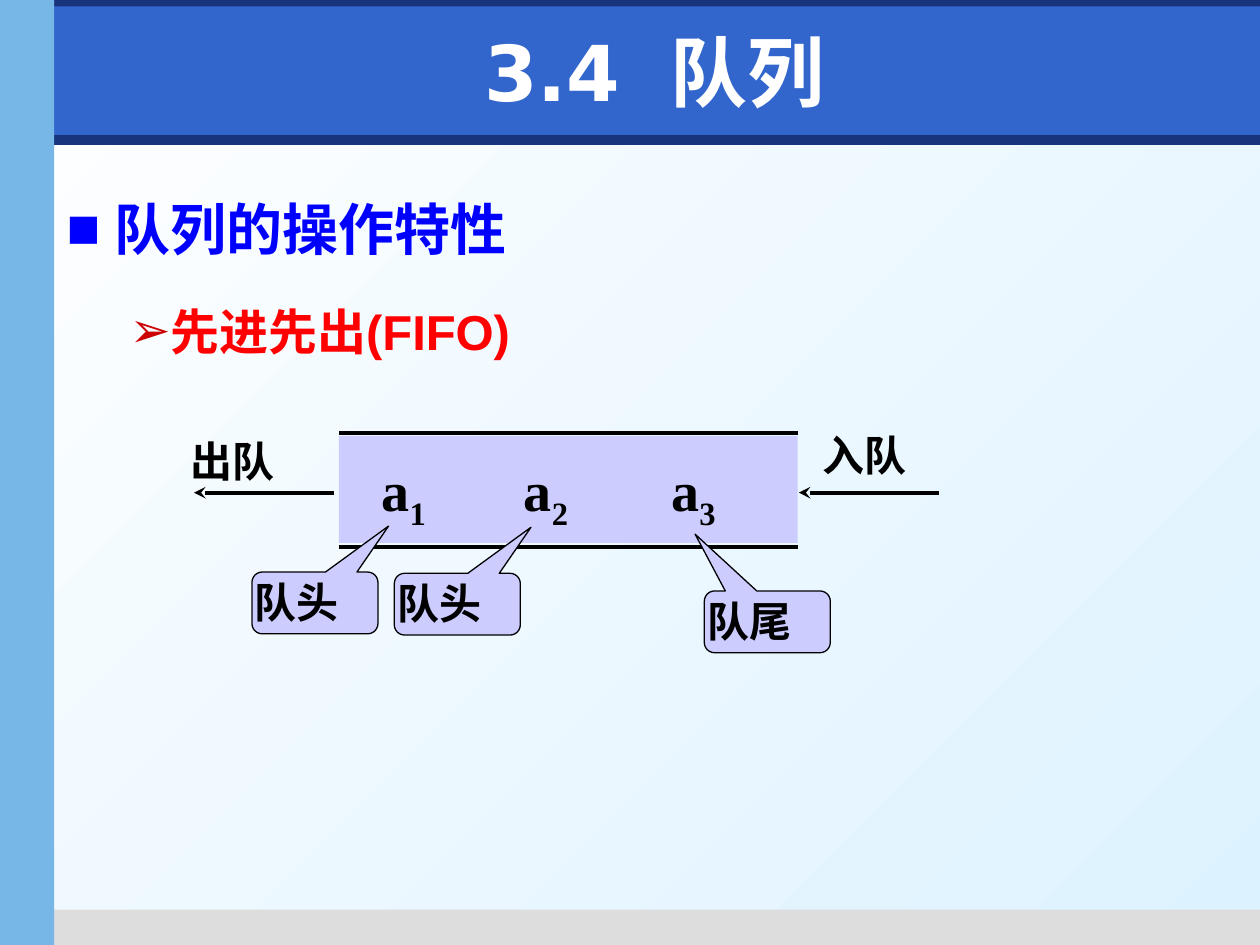
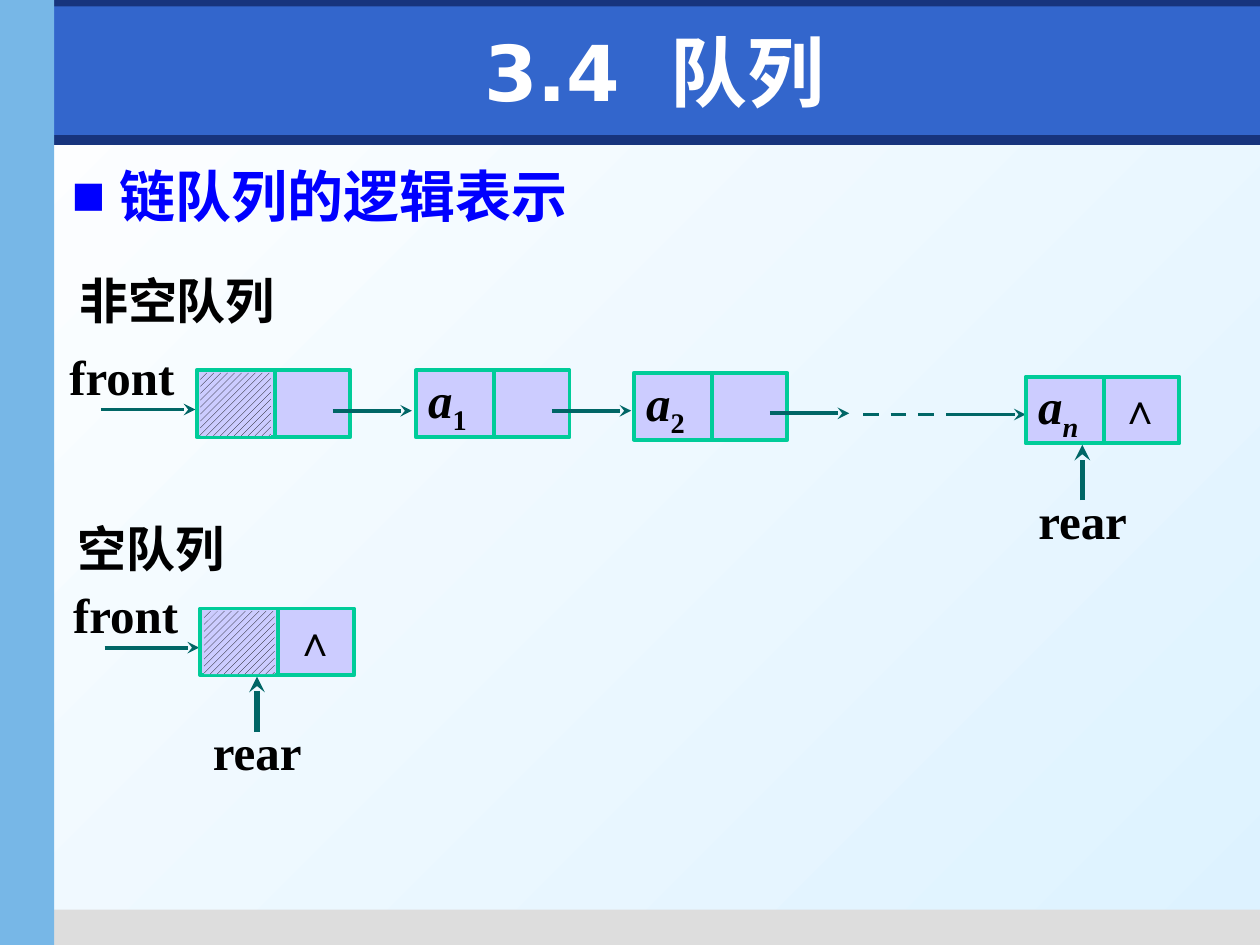
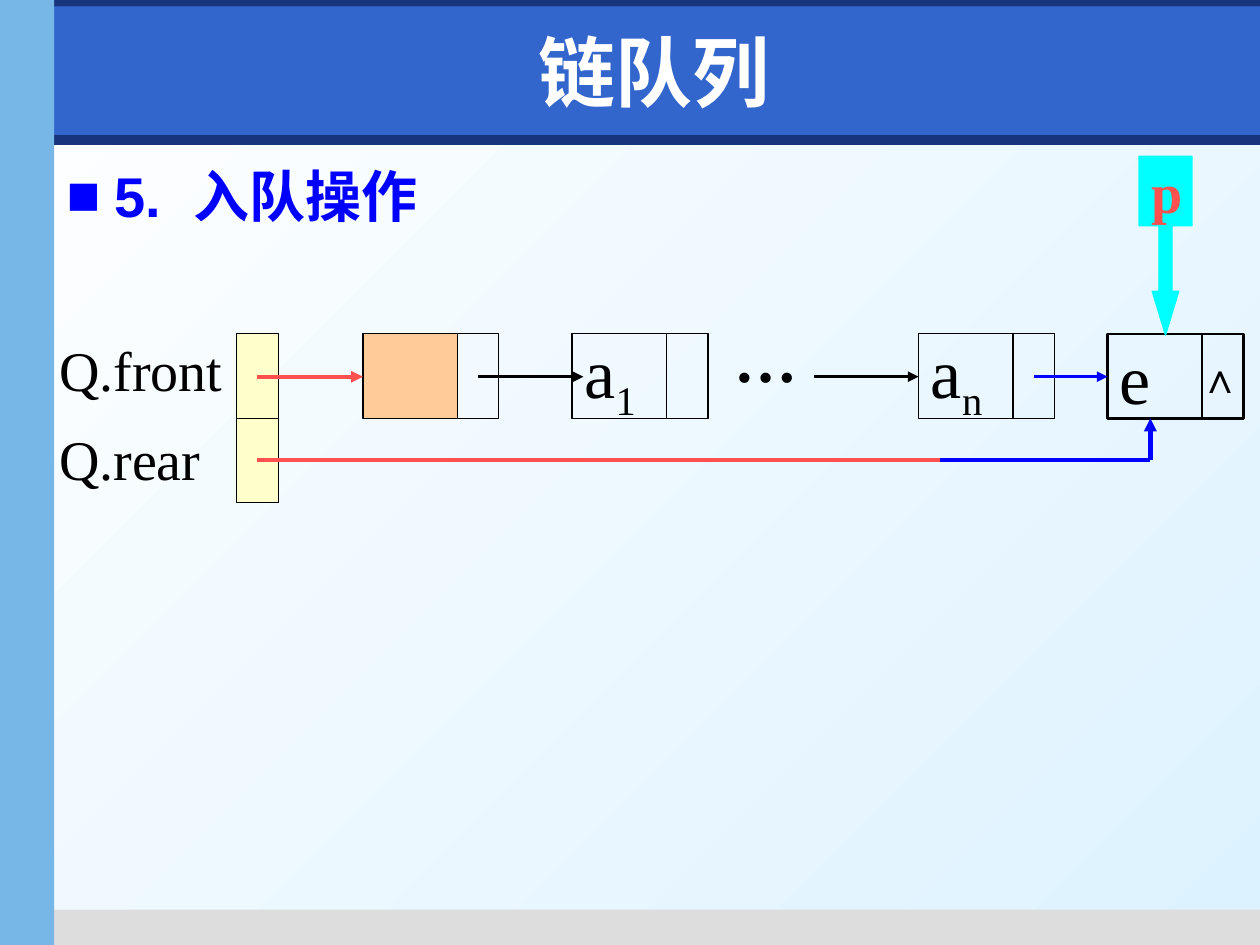
from lxml.etree import SubElement
from pptx import Presentation
from pptx.dml.color import RGBColor
from pptx.enum.dml import MSO_LINE, MSO_PATTERN
from pptx.enum.shapes import MSO_CONNECTOR, MSO_SHAPE
from pptx.enum.text import MSO_ANCHOR, PP_ALIGN
from pptx.oxml.ns import qn
from pptx.util import Inches, Pt

BLACK = "000000"
BLUE = "0000FF"
RED = "FF0000"
CORAL = "FF5050"
CYAN = "00FFFF"
LAVENDER = "CCCCFF"
GREEN = "00CC99"
TEAL = "006666"
YELLOW = "FFFFCC"
SERIF = "Times New Roman"
DEFAULT_INSETS = (0.1, 0.05, 0.1, 0.05)


def rgb(color):
    return RGBColor.from_string(color)


def add_run(paragraph, text, size=24, color=BLACK, font=SERIF, bold=True, italic=False, **attributes):
    """Add a run; extra attributes, such as baseline or spc, go on its properties."""
    run = paragraph.add_run()
    run.text = text
    run.font.size = Pt(size)
    run.font.name = font
    run.font.bold = bold
    run.font.italic = italic
    run.font.color.rgb = rgb(color)
    for name, value in attributes.items():
        run.font._element.set(name, str(value))


def add_spaced_runs(paragraph, text, **text_format):
    """Write a heading whose number is set off by a wide space."""
    for piece in text.partition(" "):
        if piece == " ":
            add_run(paragraph, piece, spc=text_format["size"] * 30, **text_format)
        elif piece:
            add_run(paragraph, piece, **text_format)


def prepare_frame(shape, insets=DEFAULT_INSETS, anchor=MSO_ANCHOR.TOP):
    frame = shape.text_frame
    frame.word_wrap = True
    frame.vertical_anchor = anchor
    frame.margin_left, frame.margin_top, frame.margin_right, frame.margin_bottom = map(Inches, insets)
    return frame


def write(shape, text, subscript="", subscript_italic=False, insets=DEFAULT_INSETS,
          anchor=MSO_ANCHOR.TOP, line_spacing=1.0, **text_format):
    paragraph = prepare_frame(shape, insets, anchor).paragraphs[0]
    paragraph.alignment = PP_ALIGN.LEFT
    paragraph.line_spacing = line_spacing
    add_run(paragraph, text, **text_format)
    if subscript:
        text_format["italic"] = subscript_italic
        add_run(paragraph, subscript, baseline=-25000, **text_format)


def add_label(slide, left, top, width, height, text, **text_format):
    box = slide.shapes.add_textbox(*map(Inches, (left, top, width, height)))
    write(box, text, **text_format)


def add_box(slide, left, top, width, height, fill=None, line=None, weight=0.75, kind=MSO_SHAPE.RECTANGLE):
    shape = slide.shapes.add_shape(kind, *map(Inches, (left, top, width, height)))
    shape.shadow.inherit = False
    if fill:
        shape.fill.solid()
        shape.fill.fore_color.rgb = rgb(fill)
    else:
        shape.fill.background()
    if line:
        shape.line.color.rgb = rgb(line)
        shape.line.width = Pt(weight)
    else:
        shape.line.fill.background()
    return shape


def add_line(slide, start, end, color=BLACK, weight=2.25, arrow=None, dash=None):
    connector = slide.shapes.add_connector(MSO_CONNECTOR.STRAIGHT, *map(Inches, start + end))
    connector.line.color.rgb = rgb(color)
    connector.line.width = Pt(weight)
    if dash:
        connector.line.dash_style = dash
    if arrow:
        SubElement(connector.line._get_or_add_ln(), qn("a:tailEnd"), type=arrow)
    SubElement(connector._element.spPr, qn("a:effectLst"))


def add_bullet(paragraph, character, color, margin, hanging):
    properties = paragraph._p.get_or_add_pPr()
    properties.set("marL", str(Inches(margin)))
    properties.set("indent", str(-Inches(hanging)))
    bullet_color = SubElement(properties, qn("a:buClr"))
    SubElement(bullet_color, qn("a:srgbClr"), val=color)
    SubElement(properties, qn("a:buFont"), typeface="Arial")
    SubElement(properties, qn("a:buChar"), char=character)


def set_background(layout):
    fill = layout.background.fill
    fill.gradient()
    fill.gradient_angle = 315
    for stop, color, position in zip(fill.gradient_stops, ("FFFFFF", "DDF2FF"), (0, 1)):
        stop.color.rgb = rgb(color)
        stop.position = position


def move_bands_to_layout(slide, layout):
    """Draw the shared bands and hand them to the layout."""
    bands = (
        (0.04, 1.07, 9.96, 0.08, "17347D"),
        (0.35, 7.22, 9.65, 0.28, "DDDDDD"),
        (0, 0, 10, 0.21, "17347D"),
        (0.43, 0.05, 9.57, 1.02, "3366CC"),
        (0, 0, 0.43, 7.5, "77B7E7"),
    )
    for *box, color in bands:
        layout.shapes.element.append(add_box(slide, *box, fill=color)._element)


def add_titled_slide(presentation, layout, title):
    slide = presentation.slides.add_slide(layout)
    placeholder = slide.shapes.title
    placeholder.left, placeholder.top, placeholder.width, placeholder.height = map(
        Inches, (0.59, 0.13, 9.21, 0.87))
    paragraph = prepare_frame(placeholder, anchor=MSO_ANCHOR.MIDDLE).paragraphs[0]
    paragraph.alignment = PP_ALIGN.CENTER
    add_spaced_runs(paragraph, title, size=44, color="FFFFFF", font="DejaVu Sans")
    return slide


def add_body(slide, left, heading, point=None):
    body = slide.shapes.add_textbox(*map(Inches, (left, 1.23, 9.37, 5.9)))
    frame = prepare_frame(body)
    paragraph = frame.paragraphs[0]
    add_bullet(paragraph, "■", BLUE, 0.38, 0.38)
    add_spaced_runs(paragraph, heading, size=32, color=BLUE, font="Arial")
    if point:
        paragraph.line_spacing = 1.5
        paragraph = frame.add_paragraph()
        paragraph.level = 1
        paragraph.line_spacing = 1.5
        paragraph.space_before = Pt(5.6)
        add_bullet(paragraph, "➢", "CC0000", 0.81, 0.31)
        add_run(paragraph, point, size=28, color=RED, font="Arial")


def add_callout(slide, left, top, text, tip):
    callout = add_box(slide, left, top, 1, 0.49, LAVENDER, BLACK, kind=MSO_SHAPE.ROUNDED_RECTANGULAR_CALLOUT)
    for index, value in enumerate((*tip, 0.167)):
        callout.adjustments[index] = value
    write(callout, text, insets=(0, 0.01, 0, 0.05))


def draw_fifo_queue(slide, left, top):
    """Draw the open-ended queue with its channel at the given corner."""
    width = 3.64
    for offset in (0, 0.9):
        add_line(slide, (left, top + offset), (left + width, top + offset))
    add_box(slide, left, top + 0.02, width, 0.85, LAVENDER)
    for number, offset in enumerate((0.34, 1.37, 2.54), start=1):
        add_label(slide, left + offset, top + 0.13, 0.6, 0.63, "a", subscript=str(number),
                  size=32, insets=(0 if number == 1 else 0.1, 0.05, 0, 0.05))
    for text, text_left, text_top, arrow_start in (
        ("入队", 3.74, -0.08, 4.76),
        ("出队", -1.28, -0.03, -0.04),
    ):
        add_label(slide, left + text_left, top + text_top, 1.08, 0.5, text)
        add_line(slide, (left + arrow_start, top + 0.47), (left + arrow_start - 1.11, top + 0.47), arrow="stealth")
    head_tip, rear_tip = (0.585, -1.246), (-0.573, -1.419)
    add_callout(slide, left + 2.9, top + 1.25, "队尾", rear_tip)
    add_callout(slide, left - 0.69, top + 1.1, "队头", head_tip)
    add_callout(slide, left + 0.44, top + 1.11, "队头", head_tip)


def draw_node(slide, left, top, label="", subscript="", nil=False, linked=False):
    """Draw a list node; one without a label is the hatched head node."""
    node = add_box(slide, left, top, 1.22, 0.53, LAVENDER, GREEN, 2.25)
    add_line(slide, (left + 0.62, top), (left + 0.62, top + 0.52), GREEN)
    if label:
        write(node, label, subscript=subscript, subscript_italic=subscript == "n", size=28,
              italic=True, insets=(0.1, 0, 0, 0.08), line_spacing=0.9)
    else:
        hatch = add_box(slide, left + 0.03, top + 0.02, 0.56, 0.5)
        hatch.fill.patterned()
        hatch.fill.pattern = MSO_PATTERN.WIDE_UPWARD_DIAGONAL
        hatch.fill.fore_color.rgb = rgb(BLACK)
        hatch.fill.back_color.rgb = rgb(LAVENDER)
    if nil:
        add_label(slide, left + 0.65, top, 0.57, 0.49, "∧")
    if linked:
        add_line(slide, (left + 1.08, top + 0.32), (left + 1.71, top + 0.32), TEAL, arrow="stealth")


def draw_front_pointer(slide, left, top):
    """Point from the left at the node with the given corner."""
    add_label(slide, left - 1.01, top - 0.19, 0.95, 0.51, "front", size=28, insets=(0, 0, 0, 0.04))
    add_line(slide, (left - 0.76, top + 0.31), (left - 0.01, top + 0.31), TEAL, arrow="stealth")


def draw_rear_pointer(slide, left, top):
    """Point from below at the node with the given corner."""
    add_label(slide, left + 0.1, top + 0.99, 0.85, 0.35, "rear", size=28, insets=(0, 0, 0, 0), line_spacing=0.8)
    add_line(slide, (left + 0.45, top + 0.98), (left + 0.45, top + 0.54), TEAL, 3, arrow="stealth")


def draw_filled_queue(slide, left, top):
    add_label(slide, left - 1.03, top - 0.84, 2.67, 0.57, "非空队列", size=28)
    draw_front_pointer(slide, left, top)
    draw_node(slide, left, top, linked=True)
    draw_node(slide, left + 1.74, top, "a", "1", linked=True)
    draw_node(slide, left + 3.47, top + 0.02, "a", "2", linked=True)
    link_top = top + 0.35
    add_line(slide, (left + 5.29, link_top), (left + 5.9, link_top), TEAL, dash=MSO_LINE.DASH)
    add_line(slide, (left + 5.95, link_top), (left + 6.58, link_top), TEAL, arrow="stealth")
    last = (left + 6.58, top + 0.05)
    draw_node(slide, *last, "a", "n", nil=True)
    draw_rear_pointer(slide, *last)


def draw_empty_queue(slide, left, top):
    add_label(slide, left - 1.07, top - 0.76, 2.67, 0.57, "空队列", size=28)
    draw_front_pointer(slide, left, top)
    draw_node(slide, left, top, nil=True)
    draw_rear_pointer(slide, left, top)


def draw_cells(slide, left, top, label="", subscript="", fill=None, weight=0.75):
    """Draw a data cell with its narrow link cell."""
    add_box(slide, left + 0.75, top, 0.33, 0.67, line=BLACK, weight=weight)
    data_cell = add_box(slide, left, top, 0.75, 0.67, fill, BLACK, weight)
    if label:
        write(data_cell, label, subscript=subscript, size=40, bold=False, anchor=MSO_ANCHOR.MIDDLE)


def draw_enqueue(slide, left, top):
    """Draw the queue record at the given corner and its list to the right."""
    cell_height = 0.67
    for row, text in enumerate(("Q.front", "Q.rear")):
        row_top = top + row * cell_height
        add_box(slide, left, row_top, 0.33, cell_height, YELLOW, BLACK)
        add_label(slide, left - 1.51, row_top - 0.04 + row * 0.04, 1.65, 0.65, text, size=32, bold=False)
    middle, bottom, rear_line = top + 0.34, top + cell_height, top + 1.0

    draw_cells(slide, left + 1, top, fill="FFCC99")
    draw_cells(slide, left + 2.66, top, "a", "1")
    draw_cells(slide, left + 5.41, top, "a", "n")
    draw_cells(slide, left + 6.91, top, "e", weight=1.5)
    add_label(slide, left + 7.54, top + 0.09, 0.54, 0.5, "∧")
    add_label(slide, left + 3.85, top - 0.16, 0.73, 0.7, "…", size=36)

    for start, end, color, weight in (
        (0.16, 1, CORAL, 2.25),
        (1.91, 2.75, BLACK, 2),
        (4.58, 5.41, BLACK, 2),
        (6.33, 6.91, BLUE, 2),
    ):
        add_line(slide, (left + start, middle), (left + end, middle), color, weight, "triangle")
    turn = left + 5.58
    corner = (left + 7.25, rear_line)
    add_line(slide, (left + 0.16, rear_line), (turn, rear_line), CORAL)
    add_line(slide, (turn, rear_line), corner, BLUE, 2.5)
    add_line(slide, corner, (left + 7.25, bottom), BLUE, 2.5, "triangle")

    pointer = add_box(slide, left + 7.16, top - 1.41, 0.42, 1.42, CYAN, CYAN, kind=MSO_SHAPE.DOWN_ARROW_CALLOUT)
    for index, value in enumerate((0.25, 0.25, 0.83, 0.388)):
        pointer.adjustments[index] = value
    write(pointer, "p", size=32, color=CORAL, anchor=MSO_ANCHOR.MIDDLE)


def main():
    presentation = Presentation()
    presentation.slide_width = Inches(10)
    presentation.slide_height = Inches(7.5)
    layout = presentation.slide_layouts[5]
    set_background(layout)

    fifo_slide = add_titled_slide(presentation, layout, "3.4 队列")
    move_bands_to_layout(fifo_slide, layout)
    add_body(fifo_slide, 0.43, "队列的操作特性", "先进先出(FIFO)")
    draw_fifo_queue(fifo_slide, 2.69, 3.44)

    linked_slide = add_titled_slide(presentation, layout, "3.4 队列")
    add_body(linked_slide, 0.47, "链队列的逻辑表示")
    draw_filled_queue(linked_slide, 1.56, 2.94)
    draw_empty_queue(linked_slide, 1.59, 4.83)

    enqueue_slide = add_titled_slide(presentation, layout, "链队列")
    add_body(enqueue_slide, 0.43, "5. 入队操作")
    draw_enqueue(enqueue_slide, 1.88, 2.65)

    presentation.save("out.pptx")


if __name__ == "__main__":
    main()
